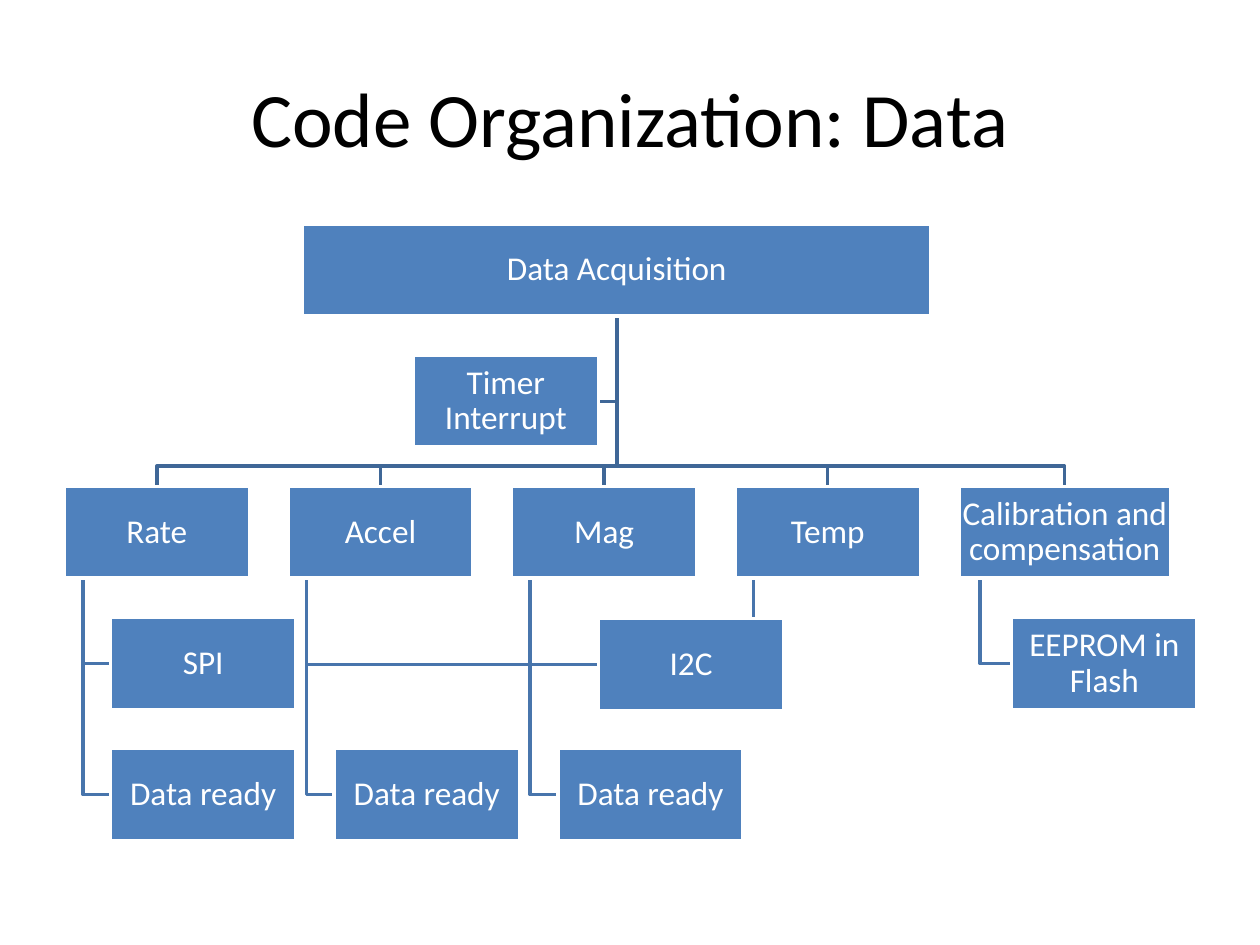
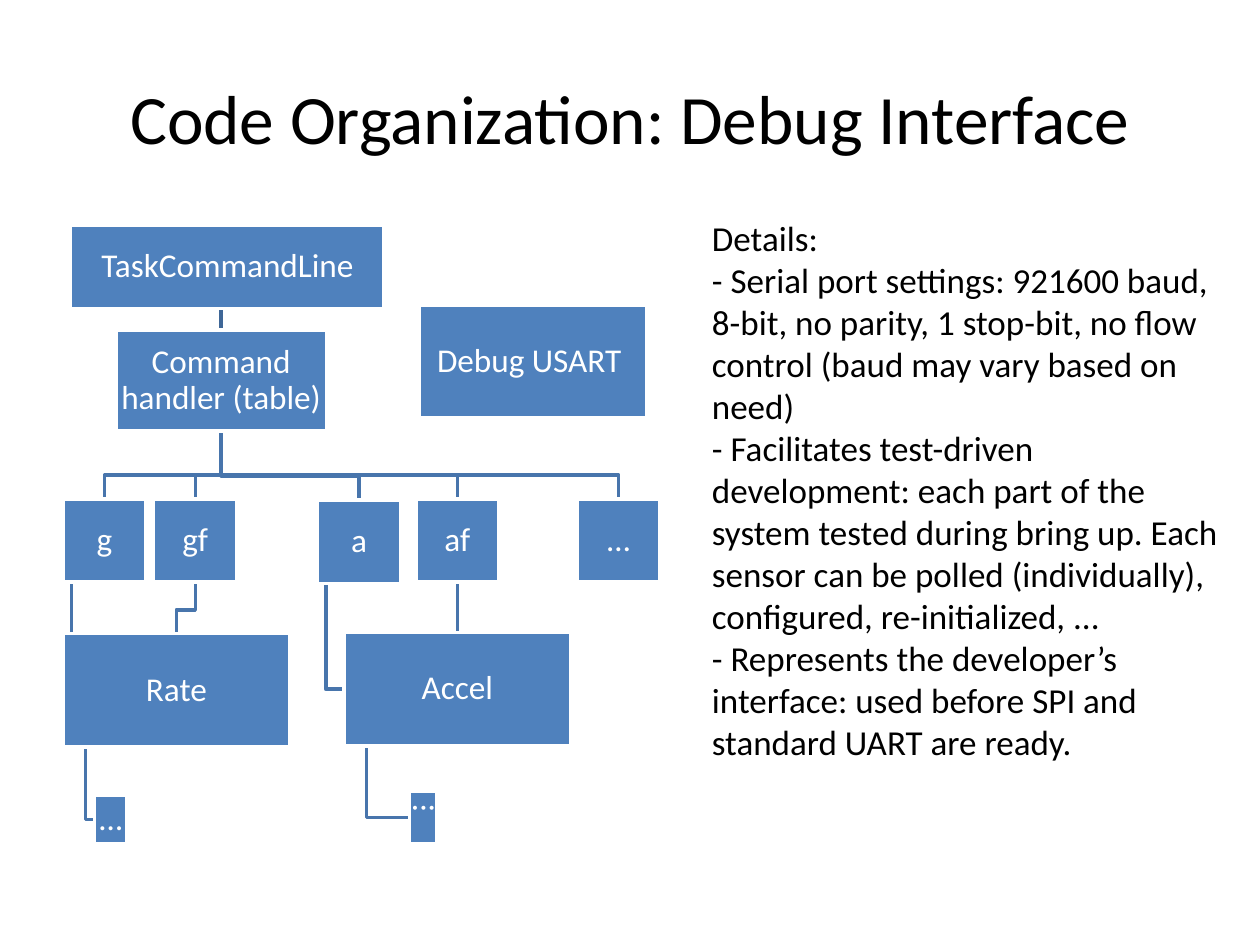
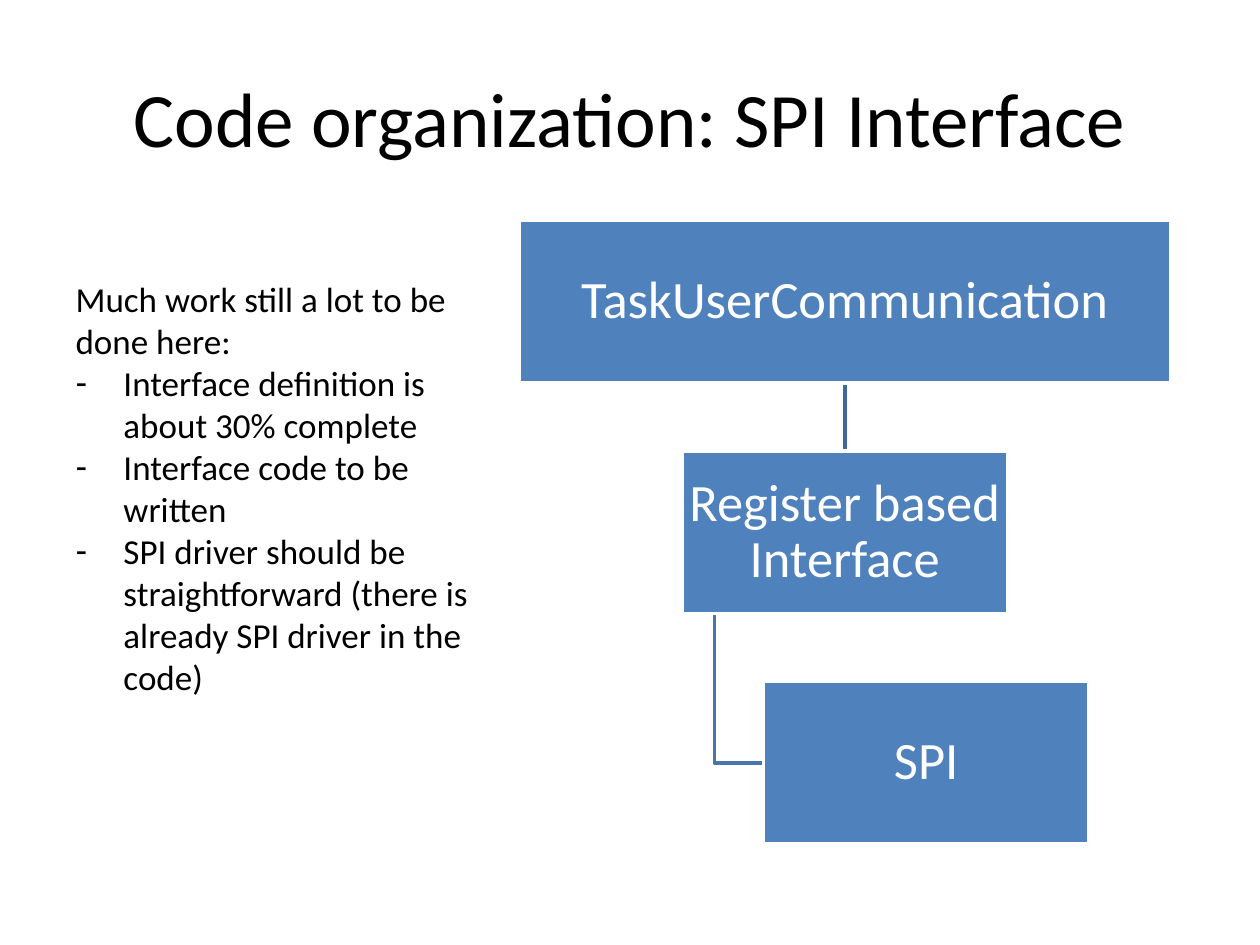
from lxml.etree import SubElement
from pptx import Presentation
from pptx.dml.color import RGBColor
from pptx.enum.shapes import MSO_CONNECTOR as CONN, MSO_SHAPE as SHAPE
from pptx.enum.text import MSO_ANCHOR as ANCHOR, MSO_AUTO_SIZE as AUTO, PP_ALIGN as ALIGN
from pptx.oxml.ns import qn
from pptx.util import Inches, Pt

COLORS = {"box": "4F81BD", "edge": "FFFFFF", "label": "FFFFFF", "text": "000000",
          "trunk": "3F6797", "branch": "4875AC"}
FONT = "Calibri"


def rgb(name):
    return RGBColor.from_string(COLORS[name])


def style_runs(p, size, color):
    for r in p.runs:
        r.font.name = FONT
        r.font.size = Pt(size)
        r.font.color.rgb = rgb(color)


def style_line(line, color):
    line.color.rgb = rgb(color)
    line.width = Pt(2)


def send_back(sp):
    sp.element.getparent().insert(2, sp.element)


def add_slide(prs, layout, title, size=44):
    s = prs.slides.add_slide(prs.slide_layouts[layout])
    sp = s.shapes.title
    sp.left, sp.top, sp.width, sp.height = map(Inches, (0.5, 0.3, 9, 1.25))
    sp.text_frame.text = title
    sp.text_frame.vertical_anchor = ANCHOR.MIDDLE
    p = sp.text_frame.paragraphs[0]
    p.alignment = ALIGN.CENTER
    style_runs(p, size, "text")
    return s


def add_box(s, text, x, y, w, h, size=19, inset=0.01):
    sp = s.shapes.add_shape(SHAPE.RECTANGLE, *map(Inches, (x, y, w, h)))
    sp.shadow.inherit = False
    sp.fill.solid()
    sp.fill.fore_color.rgb = rgb("box")
    style_line(sp.line, "edge")
    tf = sp.text_frame
    tf.word_wrap = True
    tf.vertical_anchor = ANCHOR.MIDDLE
    tf.margin_left = tf.margin_right = tf.margin_top = tf.margin_bottom = Inches(inset)
    tf.text = text
    p = tf.paragraphs[0]
    p.alignment = ALIGN.CENTER
    p.line_spacing = 0.9
    style_runs(p, size, "label")
    return sp


def center_x(sp):
    return sp.left + sp.width // 2


def center_y(sp):
    return sp.top + sp.height // 2


def bottom(sp):
    return sp.top + sp.height


def add_route(s, points, color):
    builder = s.shapes.build_freeform(*points[0])
    builder.add_line_segments(points[1:], close=False)
    sp = builder.convert_to_shape()
    sp.shadow.inherit = False
    sp.fill.background()
    style_line(sp.line, color)
    send_back(sp)


def branch_down(s, parent, children, rise, color="branch"):
    for child in children:
        bus = child.top - Inches(rise)
        add_route(s, [(center_x(parent), bottom(parent)), (center_x(parent), bus),
                      (center_x(child), bus), (center_x(child), child.top)], color)


def hang(s, parent, *children):
    x = parent.left + parent.width // 10
    for child in children:
        add_route(s, [(x, bottom(parent)), (x, center_y(child)),
                      (child.left, center_y(child))], "branch")


def drop(s, parent, child, color, join_parent=True):
    c = s.shapes.add_connector(CONN.STRAIGHT, center_x(child), bottom(parent),
                               center_x(child), child.top)
    if join_parent:
        c.begin_connect(parent, 2)
    c.end_connect(child, 0)
    style_line(c.line, color)
    SubElement(c.element.spPr, qn("a:effectLst"))
    send_back(c)


def add_details(s, lines, x, y, w, h, bullet_from=None):
    sp = s.placeholders[1]
    sp.left, sp.top, sp.width, sp.height = map(Inches, (x, y, w, h))
    tf = sp.text_frame
    tf.word_wrap = True
    tf.auto_size = AUTO.NONE
    tf.text = "\n".join(lines)
    for i, p in enumerate(tf.paragraphs):
        p.space_before = Pt(0)
        style_runs(p, 20, "text")
        pPr = p._p.get_or_add_pPr()
        bulleted = bullet_from is not None and i >= bullet_from
        indent = Inches(0.38) if bulleted else 0
        pPr.set("marL", str(indent))
        pPr.set("indent", str(-indent))
        if bulleted:
            SubElement(pPr, qn("a:buFontTx"))
            SubElement(pPr, qn("a:buChar")).set("char", "-")
        else:
            SubElement(pPr, qn("a:buNone"))


def data_tree(s, x, y, w):
    box_w, box_h, row = 1.47, 0.73, 1.04
    pitch = (w - 1.68) / 4

    def node(text, dx, level, width=box_w):
        return add_box(s, text, x + dx, y + level * row, width, box_h)

    root = node("Data Acquisition", 1.89, 0, 4.99)
    timer = node("Timer Interrupt", 2.77, 1)
    names = ["Rate", "Accel", "Mag", "Temp"]
    sensors = [node(name, i * pitch, 2) for i, name in enumerate(names)]
    calibration = node("Calibration and compensation", 4 * pitch, 2, 1.68)
    spi = node("SPI", box_w / 4, 3)
    i2c = node("I2C", 4.24, 3.01)
    eeprom = node("EEPROM in Flash", 4 * pitch + 1.68 / 4, 3)
    ready = [node("Data ready", i * pitch + box_w / 4, 4) for i in range(3)]

    branch_down(s, root, [*sensors, calibration], 0.16, "trunk")
    add_route(s, [(center_x(root), bottom(root)), (center_x(root), center_y(timer)),
                  (timer.left + timer.width, center_y(timer))], "trunk")
    hang(s, sensors[0], spi)
    for sensor, flag in zip(sensors, ready):
        hang(s, sensor, flag)
    for sensor in sensors[1:]:
        hang(s, sensor, i2c)
    hang(s, calibration, eeprom)


def debug_tree(s, x, y):
    key, rise = 0.66, 0.19

    def node(text, dx, dy, w, h):
        return add_box(s, text, x + dx, y + dy, w, h)

    task = node("TaskCommandLine", 0.06, 0, 2.49, 0.66)
    handler = node("Command handler (table)", 0.42, 0.83, 1.67, 0.8)
    node("Debug USART ", 2.83, 0.63, 1.8, 0.9)
    keys = [("g", 0, 2.17), ("gf", 0.72, 2.17), ("a", 2.02, 2.18),
            ("af", 2.8, 2.17), ("…", 4.08, 2.17)]
    commands = [node(name, dx, dy, key, key) for name, dx, dy in keys]
    g, gf, a, af, _ = commands
    rate = node("Rate", 0, 3.24, 1.8, 0.9)
    accel = node("Accel", 2.23, 3.23, 1.8, 0.9)
    rate_more = node("…", 0.25, 4.52, 0.26, 0.39)
    accel_more = node("…", 2.75, 4.49, 0.22, 0.42)
    accel_more.rotation = 180

    drop(s, task, handler, "trunk", join_parent=False)
    branch_down(s, handler, commands, rise)
    branch_down(s, gf, [rate], rise)
    drop(s, af, accel, "branch")
    for parent, child in [(g, rate), (a, accel), (rate, rate_more), (accel, accel_more)]:
        hang(s, parent, child)


def spi_tree(s, x, y, w):
    unit, box_h, row = w / 2, 1.29, 1.83

    def node(text, dx, level, width=unit):
        return add_box(s, text, x + dx, y + level * row, width, box_h, 30, 0.02)

    task = node("TaskUserCommunication", 0, 0, w)
    registers = node("Register based Interface", unit / 2, 1)
    spi = node("SPI", unit * 0.75, 2)
    drop(s, task, registers, "trunk")
    hang(s, registers, spi)


def data_slide(prs):
    s = add_slide(prs, 5, "Code Organization: Data")
    data_tree(s, 0.51, 1.78, 8.78)


def debug_slide(prs):
    s = add_slide(prs, 1, "Code Organization: Debug Interface", 39.6)
    debug_tree(s, 0.5, 1.79)
    add_details(s, [
        "Details:",
        "- Serial port settings: 921600 baud, 8-bit, no parity, 1 stop-bit, "
        "no flow control (baud may vary based on need)",
        "- Facilitates test-driven development: each part of the system tested during "
        "bring up. Each sensor can be polled (individually), configured, re-initialized, ...",
        "- Represents the developer’s interface: used before SPI and standard UART are ready.",
    ], 5.55, 1.67, 4.28, 4.78)


def spi_slide(prs):
    s = add_slide(prs, 1, "Code organization: SPI Interface")
    spi_tree(s, 4.12, 1.75, 5.17)
    add_details(s, [
        "Much work still a lot to be done here:",
        "Interface definition is about 30% complete",
        "Interface code to be written",
        "SPI driver should be straightforward (there is already SPI driver in the code)",
    ], 0.5, 2.15, 3.62, 3.47, bullet_from=1)


def main():
    prs = Presentation()
    prs.slide_width, prs.slide_height = Inches(10), Inches(7.5)
    data_slide(prs)
    debug_slide(prs)
    spi_slide(prs)
    prs.save("out.pptx")


if __name__ == "__main__":
    main()
